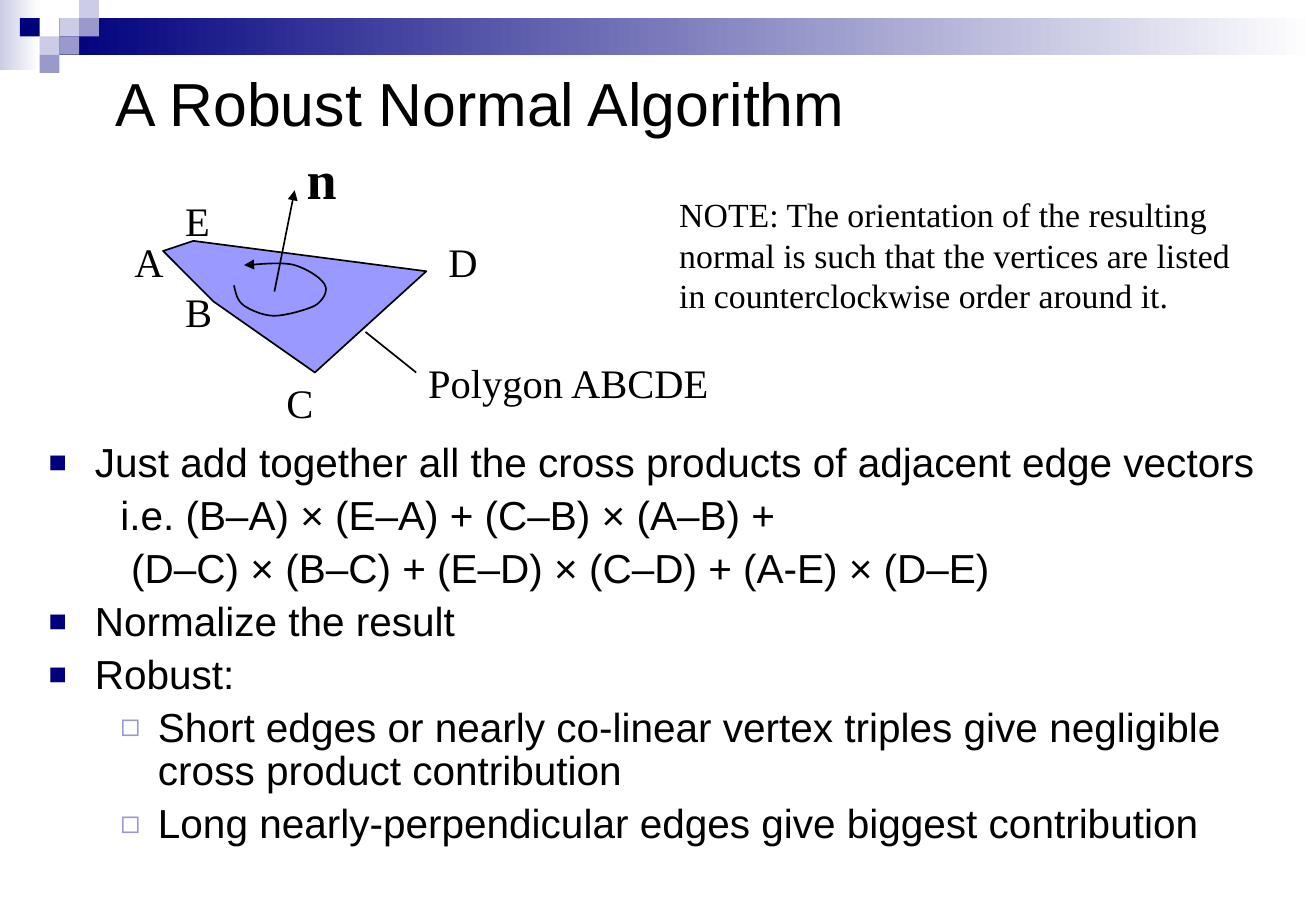
"""Build the slide about a robust normal algorithm for polygons."""
import itertools

import lxml.etree
import pptx
import pptx.dml.color
import pptx.enum.shapes
import pptx.enum.text
import pptx.oxml.ns
import pptx.util

COLORS = {"black": "000000", "navy": "00007D", "violet": "9999CC",
          "lavender": "CCCCE6", "polygon": "9999FF", "white": "FFFFFF"}
SANS, SERIF = "Arial", "Times New Roman"
WIDTH, HEIGHT = 10.83, 7.5
CELL = 1 / 12
ORIGIN_COLUMN, ORIGIN_ROW = 16.1, 23.8
TILE_WIDTH, TILE_HEIGHT = 0.163, 0.15

TILES = [(3, 1, "lavender"), (4, 0, "lavender"), (4, 1, "violet"), (2, 2, "lavender"),
         (1, 1, "navy"), (3, 2, "violet"), (2, 3, "violet")]
VERTICES = [(15, 13), (5, 6), (0, 1), (3, 0), (26, 3)]
VERTEX_LABELS = [("A", -4, -1, 5.3), ("B", 1, 4, 5), ("C", 11, 13, 5),
                 ("D", 27, -1, 5.3), ("E", 1, -5, 4.8)]
TURN_START = (7, 4.4)
TURN_CURVES = [
    ((7.2, 5.2), (7.3, 5.9), (8, 6.4)),
    ((8.6, 6.8), (9.8, 7.4), (11, 7.4)),
    ((12.1, 7.4), (14.2, 6.8), (15, 6.4)),
    ((15.8, 5.9), (16.3, 5), (16, 4.4)),
    ((15.7, 3.7), (14.3, 2.8), (13, 2.4)),
    ((11.6, 2), (8.9, 2.4), (8, 2.4)),
]
NOTE = ("NOTE: The orientation of the resulting normal is such that the vertices "
        "are listed in counterclockwise order around it.")
MAIN = (0, 0.38, -0.38, ("■", "navy", 75))
FORMULA = (1, 0.9, -0.31, None)
FORMULA_NEXT = (1, 0.9, -0.22, None)
DETAIL = (1, 0.9, -0.31, ("◻", "violet", 80))
POINTS = [
    ("Just add together all the cross products of adjacent edge vectors", MAIN),
    ("i.e. (B–A) × (E–A) + (C–B) × (A–B) +", FORMULA),
    ("(D–C) × (B–C) + (E–D) × (C–D) + (A-E) × (D–E)", FORMULA_NEXT),
    ("Normalize the result", MAIN),
    ("Robust:", MAIN),
    ("Short edges or nearly co-linear vertex triples give negligible "
     "cross product contribution", DETAIL),
    ("Long nearly-perpendicular edges give biggest contribution", DETAIL),
]


def color(name):
    """Return the named colour."""
    return pptx.dml.color.RGBColor.from_string(COLORS[name])


def cells(*counts):
    """Return lengths given in grid cells."""
    return [pptx.util.Inches(count * CELL) for count in counts]


def spot(column, row):
    """Return the position of a diagram grid point."""
    return cells(ORIGIN_COLUMN + column, ORIGIN_ROW + row)


def add_element(parent, tag, **attributes):
    """Append a drawing element to a parent."""
    return lxml.etree.SubElement(parent, pptx.oxml.ns.qn(tag), attributes)


def add_run(paragraph, text, size, font, bold=False):
    """Add one formatted run."""
    run = paragraph.add_run()
    run.text = text
    run.font.size = pptx.util.Pt(size)
    run.font.name = font
    run.font.bold = bold
    run.font.color.rgb = color("black")


def add_band(slide, left, top, width, height, *names):
    """Add a header rectangle with a solid or a gradient fill."""
    shape = slide.shapes.add_shape(
        pptx.enum.shapes.MSO_SHAPE.RECTANGLE,
        *map(pptx.util.Inches, (left, top, width, height)))
    shape.shadow.inherit = False
    shape.line.fill.background()
    if len(names) == 1:
        shape.fill.solid()
        shape.fill.fore_color.rgb = color(names[0])
        return
    shape.fill.gradient()
    shape.fill.gradient_angle = 0
    for stop, name, position in zip(shape.fill.gradient_stops, names, (0, 1)):
        stop.color.rgb = color(name)
        stop.position = position


def add_header(slide):
    """Add the gradient bar and the tiles."""
    add_band(slide, 0, 0, 2 * TILE_WIDTH, 0.58, "lavender", "white")
    bar_left = 3 * TILE_WIDTH
    add_band(slide, bar_left, TILE_HEIGHT, WIDTH - bar_left, 2 * TILE_HEIGHT,
             "navy", "white")
    for column, row, name in TILES:
        add_band(slide, column * TILE_WIDTH, row * TILE_HEIGHT,
                 TILE_WIDTH, TILE_HEIGHT, name)


def place(shape, left, top, width, height):
    """Move a placeholder on the grid and return its text frame."""
    shape.left, shape.top, shape.width, shape.height = cells(left, top, width, height)
    shape.text_frame.word_wrap = True
    shape.text_frame.auto_size = pptx.enum.text.MSO_AUTO_SIZE.NONE
    return shape.text_frame


def add_title(slide):
    """Fill the title placeholder."""
    frame = place(slide.shapes.title, 10.2, 5.3, 115.4, 9.5)
    frame.vertical_anchor = pptx.enum.text.MSO_ANCHOR.MIDDLE
    paragraph = frame.paragraphs[0]
    paragraph.alignment = pptx.enum.text.PP_ALIGN.LEFT
    add_run(paragraph, "A Robust Normal Algorithm", 36, SANS)


def format_point(paragraph, level, margin, indent, bullet):
    """Set the level, indents and bullet of a list paragraph."""
    paragraph.level = level
    properties = paragraph._p.get_or_add_pPr()
    properties.set("marL", str(pptx.util.Inches(margin)))
    properties.set("indent", str(pptx.util.Inches(indent)))
    if bullet is None:
        add_element(properties, "a:buNone")
        return
    character, name, percent = bullet
    add_element(add_element(properties, "a:buClr"), "a:srgbClr", val=COLORS[name])
    add_element(properties, "a:buSzPct", val=str(percent * 1000))
    add_element(properties, "a:buFont", typeface=SANS)
    add_element(properties, "a:buChar", char=character)


def add_points(slide):
    """Fill the body placeholder with the list."""
    frame = place(slide.placeholders[1], 3.6, 43.1, 124.7, 43.4)
    for index, (text, style) in enumerate(POINTS):
        paragraph = frame.add_paragraph() if index else frame.paragraphs[0]
        format_point(paragraph, *style)
        paragraph.line_spacing = 0.9
        paragraph.space_before = pptx.util.Pt(5.5 if index else 0)
        add_run(paragraph, text, 24, SANS)


def add_label(slide, text, column, row, width, height=6, size=24, bold=False, wrap=True):
    """Add a serif text box at a diagram grid point."""
    shape = slide.shapes.add_textbox(*spot(column, row), *cells(width, height))
    shape.text_frame.word_wrap = wrap
    shape.text_frame.auto_size = pptx.enum.text.MSO_AUTO_SIZE.SHAPE_TO_FIT_TEXT
    add_run(shape.text_frame.paragraphs[0], text, size, SERIF, bold)


def format_line(shape, arrow=False):
    """Give a shape a thin black line, with an arrowhead if wanted."""
    shape.line.color.rgb = color("black")
    shape.line.width = pptx.util.Pt(1)
    if arrow:
        add_element(shape.line._get_or_add_ln(), "a:tailEnd", type="triangle")


def add_line(slide, start, end, arrow=False):
    """Add a straight line between two diagram grid points."""
    connector = slide.shapes.add_connector(
        pptx.enum.shapes.MSO_CONNECTOR.STRAIGHT, *spot(*start), *spot(*end))
    format_line(connector, arrow)
    add_element(connector._element.spPr, "a:effectLst")


def add_outline(slide, points, fill=None, arrow=False):
    """Add a closed filled outline or an open one."""
    builder = slide.shapes.build_freeform(*spot(*points[0]))
    builder.add_line_segments([spot(*point) for point in points[1:]], close=bool(fill))
    shape = builder.convert_to_shape()
    if fill:
        shape.fill.solid()
        shape.fill.fore_color.rgb = color(fill)
    else:
        shape.fill.background()
    format_line(shape, arrow)
    shape.shadow.inherit = False


def trace_curves(start, curves, steps=12):
    """Return points along joined cubic curves."""
    points = [start]
    for curve, step in itertools.product(curves, range(1, steps + 1)):
        if step == 1:
            controls = (points[-1], *curve)
        t = step / steps
        weights = ((1 - t) ** 3, 3 * t * (1 - t) ** 2, 3 * t ** 2 * (1 - t), t ** 3)
        points.append(tuple(sum(weight * value for weight, value in zip(weights, axis))
                            for axis in zip(*controls)))
    return points


def add_diagram(slide):
    """Add the polygon with its normal, labels and turning arrow."""
    for text, column, row, width in VERTEX_LABELS:
        add_label(slide, text, column, row, width, wrap=False)
    add_outline(slide, VERTICES, fill="polygon")
    add_label(slide, "Polygon ABCDE", 25, 11, 33)
    add_line(slide, (20, 9), (25, 13))
    add_line(slide, (11, 5), (13, -5), arrow=True)
    add_label(slide, "n", 13, -10, 6, 7.6, size=32, bold=True)
    add_outline(slide, trace_curves(TURN_START, TURN_CURVES), arrow=True)


def main():
    """Build and save the presentation."""
    presentation = pptx.Presentation()
    presentation.slide_width = pptx.util.Inches(WIDTH)
    presentation.slide_height = pptx.util.Inches(HEIGHT)
    slide = presentation.slides.add_slide(presentation.slide_layouts[1])
    add_header(slide)
    add_title(slide)
    add_points(slide)
    add_diagram(slide)
    add_label(slide, NOTE, 49.8, -5.2, 59, 13.2, size=20)
    presentation.save("out.pptx")


if __name__ == "__main__":
    main()
